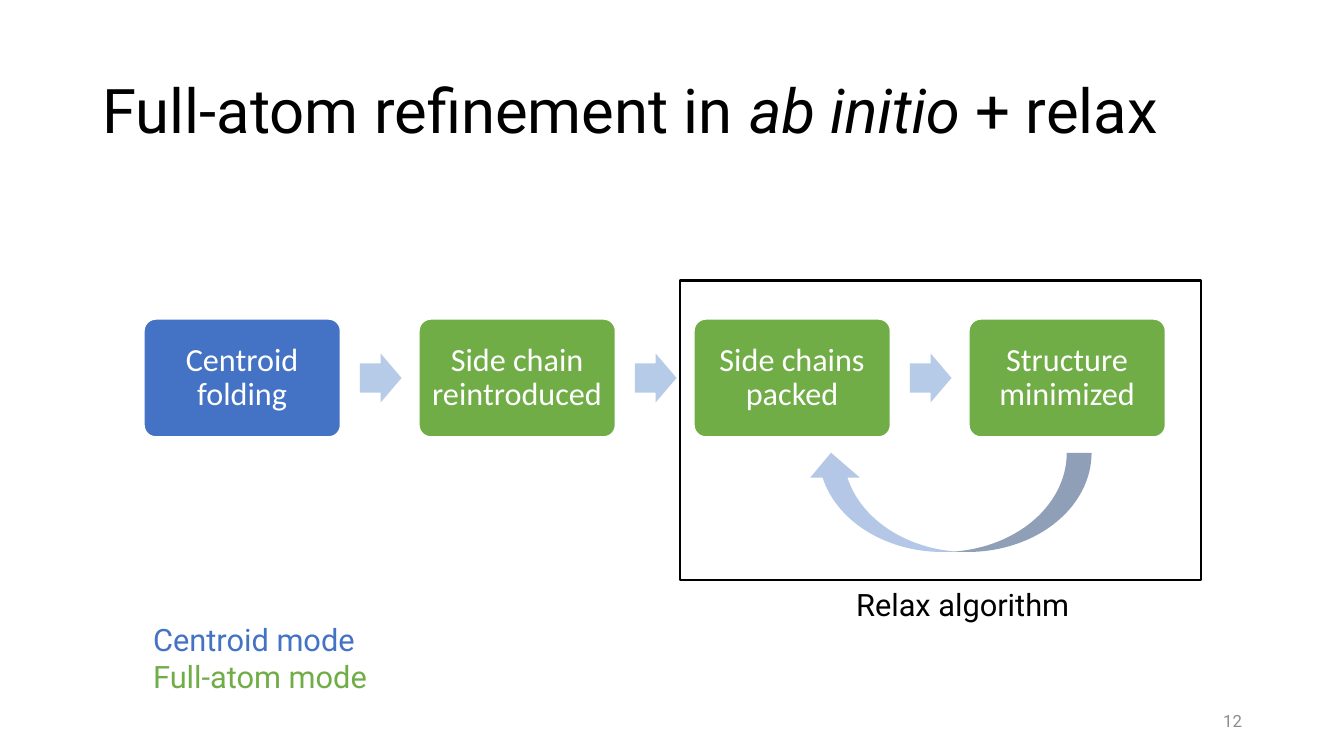
from pptx import Presentation
from pptx.dml.color import RGBColor
from pptx.enum.shapes import MSO_SHAPE
from pptx.enum.text import MSO_ANCHOR, MSO_AUTO_SIZE, PP_ALIGN
from pptx.util import Cm, Pt

BLACK = RGBColor(0x00, 0x00, 0x00)
WHITE = RGBColor(0xFF, 0xFF, 0xFF)
GRAY = RGBColor(0x8C, 0x8C, 0x8C)
BLUE = RGBColor(0x44, 0x72, 0xC4)
GREEN = RGBColor(0x70, 0xAD, 0x47)
PALE = RGBColor(0xB5, 0xCB, 0xE7)
LIGHT = RGBColor(0xB4, 0xC7, 0xE7)


def write(para, text, size=22, color=BLACK, font="Roboto", slant=False,
          side=PP_ALIGN.LEFT, lead=1.0):
    para.alignment = side
    para.line_spacing = lead
    run = para.add_run()
    run.text = text
    run.font.size = Pt(size)
    run.font.name = font
    run.font.italic = slant
    run.font.color.rgb = color


def draw(kind, left, top, width, height, fill=None, line=None, weight=1):
    shape = shapes.add_shape(kind, Cm(left), Cm(top), Cm(width), Cm(height))
    shape.shadow.inherit = False
    if fill is None:
        shape.fill.background()
    else:
        shape.fill.solid()
        shape.fill.fore_color.rgb = fill
    if line is None:
        shape.line.fill.background()
    else:
        shape.line.color.rgb = line
        shape.line.width = Pt(weight)
    return shape


deck = Presentation()
deck.slide_width, deck.slide_height = Cm(33.87), Cm(19.05)
slide = deck.slides.add_slide(deck.slide_layouts[5])
shapes = slide.shapes

title = shapes.title
title.left, title.top = Cm(2.33), Cm(1.01)
title.width, title.height = Cm(29.21), Cm(3.68)
frame = title.text_frame
frame.word_wrap = True
frame.auto_size = MSO_AUTO_SIZE.NONE
frame.vertical_anchor = MSO_ANCHOR.MIDDLE
for text, slant in [("Full-atom refinement in ", False),
                    ("ab initio ", True), ("+ relax", False)]:
    write(frame.paragraphs[0], text, size=44, slant=slant, lead=0.9)

steps = [("Centroid folding", BLUE), ("Side chain reintroduced", GREEN),
         ("Side chains packed", GREEN), ("Structure minimized", GREEN)]
for i, (text, color) in enumerate(steps):
    left = 3.63 + 6.93 * i
    box = draw(MSO_SHAPE.ROUNDED_RECTANGLE, left, 8.04, 4.95, 2.97,
               fill=color, line=WHITE)
    box.adjustments[0] = 0.1
    frame = box.text_frame
    frame.word_wrap = True
    frame.vertical_anchor = MSO_ANCHOR.MIDDLE
    frame.margin_left = frame.margin_right = Cm(0.1)
    frame.margin_top = frame.margin_bottom = Cm(0.25)
    write(frame.paragraphs[0], text, size=23, color=WHITE, font="Calibri",
          side=PP_ALIGN.CENTER, lead=0.9)
    if i < len(steps) - 1:
        arrow = draw(MSO_SHAPE.RIGHT_ARROW, left + 5.44, 8.91, 1.05, 1.23,
                     fill=PALE)
        arrow.adjustments[0] = 0.6
        arrow.adjustments[1] = 0.5

loop = draw(MSO_SHAPE.CURVED_UP_ARROW, 20.32, 11.41, 7.19, 2.5, fill=LIGHT)
loop.element.spPr.xfrm.set("flipH", "1")
draw(MSO_SHAPE.RECTANGLE, 17.13, 7.07, 13.13, 7.54, line=BLACK, weight=1.5)

notes = [
    (19.13, 14.63, 10.26, 1.19, MSO_ANCHOR.TOP, PP_ALIGN.CENTER, 22,
     [("Relax algorithm", BLACK)]),
    (3.61, 15.52, 6.63, 2.13, MSO_ANCHOR.TOP, PP_ALIGN.LEFT, 22,
     [("Centroid mode", BLUE), ("Full-atom mode", GREEN)]),
    (23.93, 17.65, 7.62, 1.02, MSO_ANCHOR.MIDDLE, PP_ALIGN.RIGHT, 12,
     [("12", GRAY)]),
]
for left, top, width, height, anchor, side, size, lines in notes:
    label = shapes.add_textbox(Cm(left), Cm(top), Cm(width), Cm(height))
    frame = label.text_frame
    frame.word_wrap = True
    frame.vertical_anchor = anchor
    for i, (text, color) in enumerate(lines):
        para = frame.add_paragraph() if i else frame.paragraphs[0]
        write(para, text, size=size, color=color, side=side)

deck.save("out.pptx")
